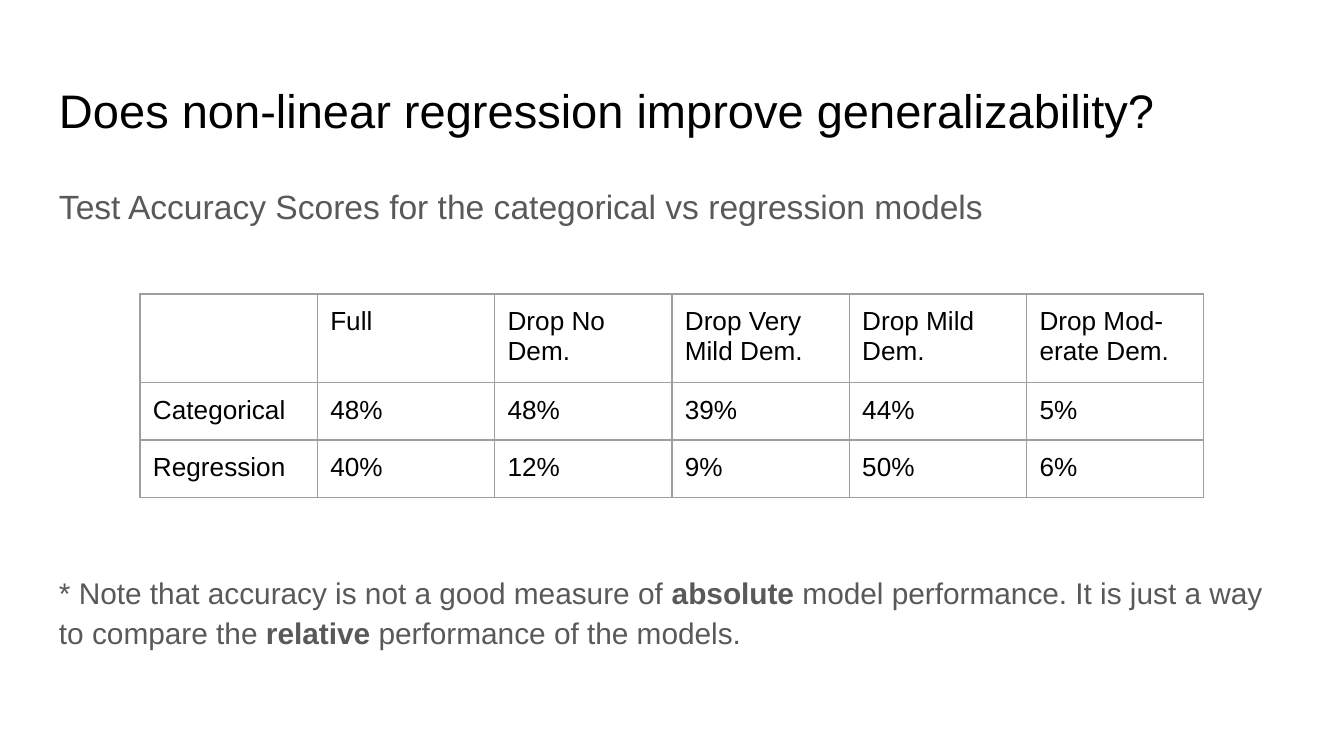
from lxml.etree import SubElement
from pptx import Presentation
from pptx.dml.color import RGBColor
from pptx.enum.text import MSO_ANCHOR, PP_ALIGN
from pptx.oxml.ns import qn
from pptx.util import Pt

PX = 914400 / 134.4
PAD = 13
BLACK = RGBColor(0x00, 0x00, 0x00)
GRAY = RGBColor(0x59, 0x59, 0x59)
RULE = RGBColor(0x9E, 0x9E, 0x9E)

TITLE = "Does non-linear regression improve generalizability?"
INTRO = "Test Accuracy Scores for the categorical vs regression models"
NOTE = [
    ("* Note that accuracy is not a good measure of ", False),
    ("absolute", True),
    (" model performance. It is just a way to compare the ", False),
    ("relative", True),
    (" performance of the models.", False),
]
SCORES = [
    ["", "Full", "Drop No Dem.", "Drop Very Mild Dem.", "Drop Mild Dem.",
     "Drop Mod- erate Dem."],
    ["Categorical", "48%", "48%", "39%", "44%", "5%"],
    ["Regression", "40%", "12%", "9%", "50%", "6%"],
]


def emu(px):
    return round(px * PX)


def write(para, text, size=14, color=BLACK, line=None, before=0):
    """Fill a paragraph with a string or a list of (string, bold) runs."""
    para.alignment = PP_ALIGN.LEFT
    para.space_before = Pt(before)
    para.line_spacing = line
    para.font.size = Pt(size)
    for part, bold in [(text, False)] if isinstance(text, str) else text:
        if not part:
            continue
        run = para.add_run()
        run.text = part
        font = run.font
        font.name, font.size, font.bold = "Arial", Pt(size), bold
        font.color.rgb = color


def pad(item):
    """Set equal insets on a text frame or a table cell."""
    item.margin_left = item.margin_right = emu(PAD)
    item.margin_top = item.margin_bottom = emu(PAD)


def add_title(slide, x, y, w, h):
    title = slide.shapes.title
    title.left, title.top, title.width, title.height = map(emu, (x, y, w, h))
    frame = title.text_frame
    pad(frame)
    frame.word_wrap = True
    frame.vertical_anchor = MSO_ANCHOR.BOTTOM
    write(frame.paragraphs[0], TITLE, size=25.2)


def add_body(slide, x, y, w, h):
    frame = slide.shapes.add_textbox(*map(emu, (x, y, w, h))).text_frame
    pad(frame)
    frame.word_wrap = True
    write(frame.paragraphs[0], INTRO, size=18, color=GRAY, line=1.1)
    write(frame.add_paragraph(), NOTE, size=16, color=GRAY, line=1.1, before=185)


def add_border(cell):
    props = cell._tc.get_or_add_tcPr()
    for index, side in enumerate(("a:lnL", "a:lnR", "a:lnT", "a:lnB")):
        edge = props.makeelement(qn(side), {"w": str(Pt(0.75))})
        fill = SubElement(edge, qn("a:solidFill"))
        SubElement(fill, qn("a:srgbClr"), val=str(RULE))
        props.insert(index, edge)


def add_scores(slide, x, y, w, head, row):
    count, cols = len(SCORES), len(SCORES[0])
    high = head + row * (count - 1)
    table = slide.shapes.add_table(
        count, cols, *map(emu, (x, y, w, high))).table
    table.first_row = table.horz_banding = False
    for col in table.columns:
        col.width = emu(w / cols)
    for r, texts in enumerate(SCORES):
        table.rows[r].height = emu(row if r else head)
        for c, text in enumerate(texts):
            cell = table.cell(r, c)
            pad(cell)
            cell.fill.background()
            add_border(cell)
            write(cell.text_frame.paragraphs[0], text)


def main():
    deck = Presentation()
    deck.slide_width, deck.slide_height = emu(1344), emu(756)
    slide = deck.slides.add_slide(deck.slide_layouts[5])
    add_title(slide, 46, 66, 1252, 85)
    add_body(slide, 46, 169, 1252, 503)
    add_scores(slide, 140, 294, 1064, head=85, row=56)
    deck.save("out.pptx")


if __name__ == "__main__":
    main()
